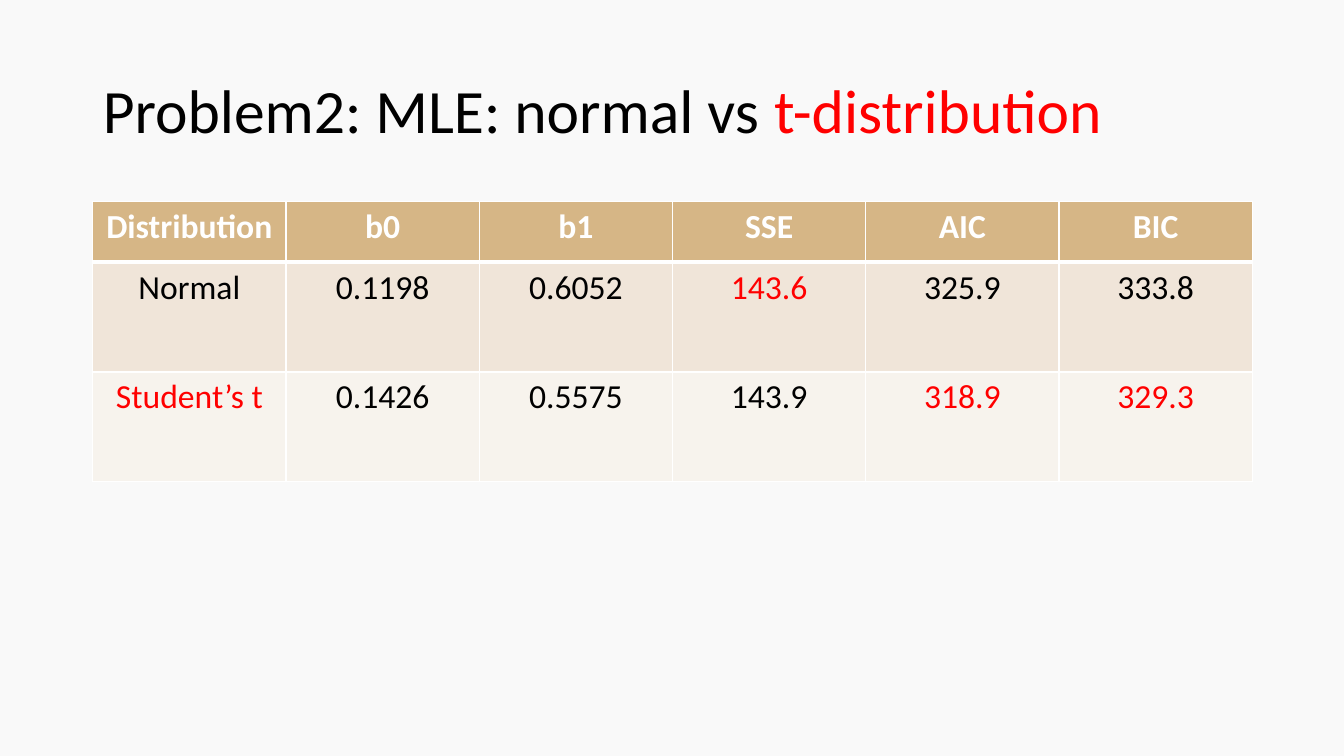
from lxml import etree
from pptx import Presentation
from pptx.dml.color import RGBColor
from pptx.enum.text import MSO_ANCHOR, PP_ALIGN
from pptx.oxml.ns import qn
from pptx.util import Inches, Pt

LEFT, CENTER = PP_ALIGN.LEFT, PP_ALIGN.CENTER
MIDDLE = MSO_ANCHOR.MIDDLE
TITLE_ONLY = 5

WHITE = RGBColor(0xFF, 0xFF, 0xFF)
BLACK = RGBColor(0, 0, 0)
RED = RGBColor(0xFF, 0, 0)
BACKGROUND = RGBColor(0xF9, 0xF9, 0xF9)
ROW_FILLS = [
    RGBColor(0xD6, 0xB6, 0x86),
    RGBColor(0xF0, 0xE5, 0xD9),
    RGBColor(0xF7, 0xF3, 0xED),
]

SLIDE_WIDTH, SLIDE_HEIGHT = Inches(13.33), Inches(7.5)
MARGIN = Inches(0.92)
CONTENT_WIDTH = Inches(11.5)
TITLE_TOP, TITLE_HEIGHT = Inches(0.4), Inches(1.45)
TABLE_TOP = Inches(2)
ROW_HEIGHTS = [Inches(0.6), Inches(1.09), Inches(1.09)]

TITLE_PARTS = [("Problem2: MLE: normal vs ", BLACK), ("t-distribution", RED)]
FIT_RESULTS = [
    ["Distribution", "b0", "b1", "SSE", "AIC", "BIC"],
    ["Normal", "0.1198", "0.6052", "143.6", "325.9", "333.8"],
    ["Student’s t", "0.1426", "0.5575", "143.9", "318.9", "329.3"],
]
BETTER_VALUES = {"143.6", "Student’s t", "318.9", "329.3"}


def set_attributes(target, values):
    for name, value in values.items():
        setattr(target, name, value)


def add_run(paragraph, text, size, color, bold=False):
    run = paragraph.add_run()
    run.text = text
    set_attributes(run.font, {"name": "Calibri", "size": Pt(size), "bold": bold})
    run.font.color.rgb = color


def set_fill(target, color):
    target.fill.solid()
    target.fill.fore_color.rgb = color


def set_borders(cell, widths):
    properties = cell._tc.get_or_add_tcPr()
    for position, (side, width) in enumerate(widths.items()):
        line = etree.Element(qn(f"a:ln{side}"), w=str(Pt(width)))
        fill = etree.SubElement(line, qn("a:solidFill"))
        etree.SubElement(fill, qn("a:srgbClr"), val=str(WHITE))
        properties.insert(position, line)


def format_title(title):
    set_attributes(title, {"left": MARGIN, "top": TITLE_TOP,
                           "width": CONTENT_WIDTH, "height": TITLE_HEIGHT})
    set_attributes(title.text_frame, {"vertical_anchor": MIDDLE, "word_wrap": True})
    paragraph = title.text_frame.paragraphs[0]
    set_attributes(paragraph, {"alignment": LEFT, "line_spacing": 0.9})
    for text, color in TITLE_PARTS:
        add_run(paragraph, text, 44, color)


def fill_cell(cell, text, row):
    is_header = row == 0
    color = WHITE if is_header else RED if text in BETTER_VALUES else BLACK
    paragraph = cell.text_frame.paragraphs[0]
    paragraph.alignment = CENTER
    add_run(paragraph, text, 24, color, is_header)
    set_fill(cell, ROW_FILLS[row])
    set_borders(cell, {"L": 1, "R": 1, "T": 3 if row == 1 else 1,
                       "B": 3 if is_header else 1})


def add_results_table(slide):
    table = slide.shapes.add_table(
        len(FIT_RESULTS), len(FIT_RESULTS[0]),
        MARGIN, TABLE_TOP, CONTENT_WIDTH, sum(ROW_HEIGHTS)).table
    for row, texts in enumerate(FIT_RESULTS):
        table.rows[row].height = ROW_HEIGHTS[row]
        for column, text in enumerate(texts):
            fill_cell(table.cell(row, column), text, row)


def main():
    presentation = Presentation()
    set_attributes(presentation, {"slide_width": SLIDE_WIDTH,
                                  "slide_height": SLIDE_HEIGHT})
    slide = presentation.slides.add_slide(presentation.slide_layouts[TITLE_ONLY])
    set_fill(slide.background, BACKGROUND)
    format_title(slide.shapes.title)
    add_results_table(slide)
    presentation.save("out.pptx")


main()
